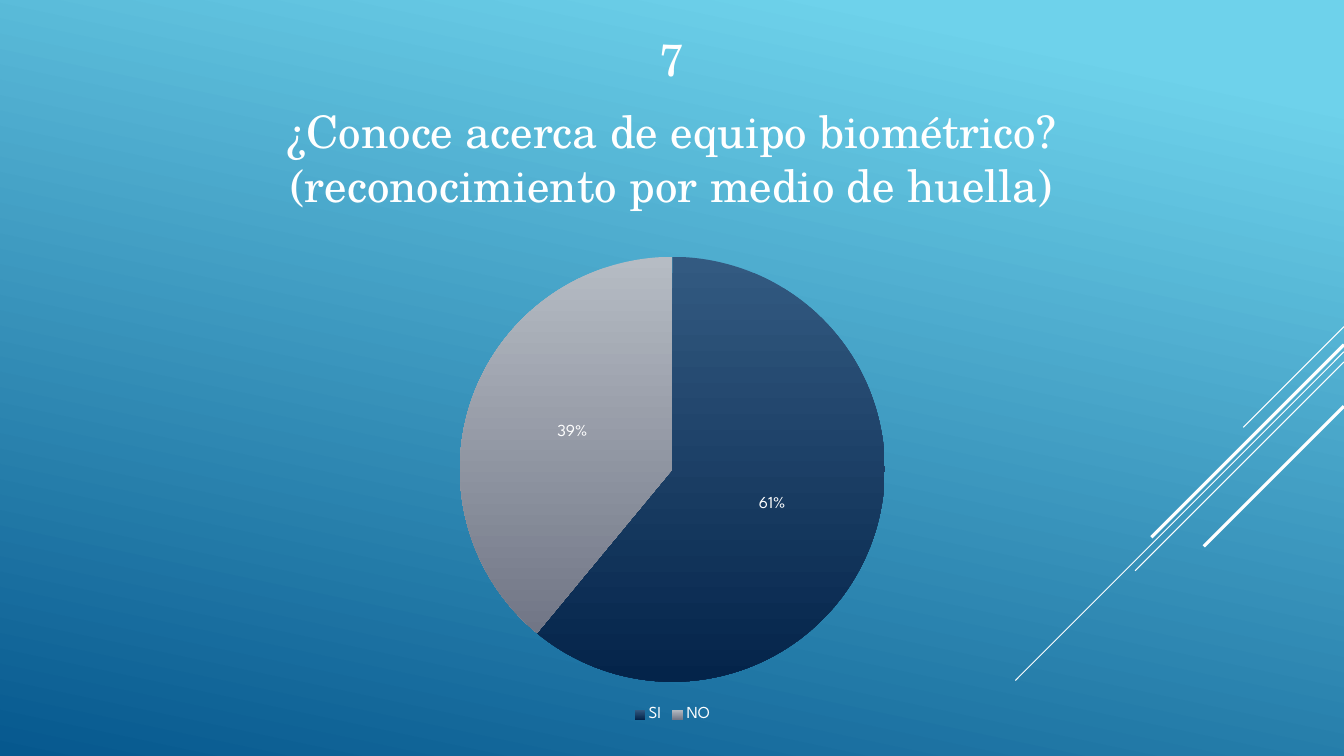
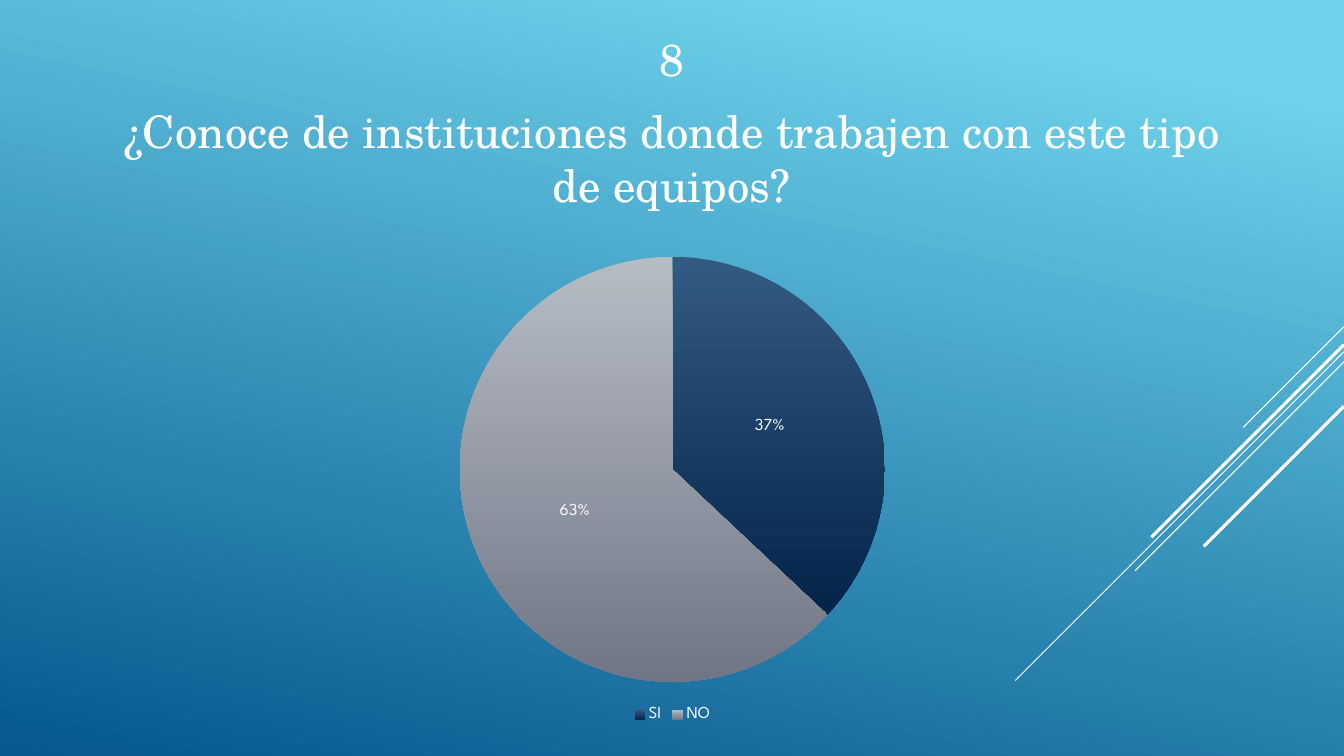
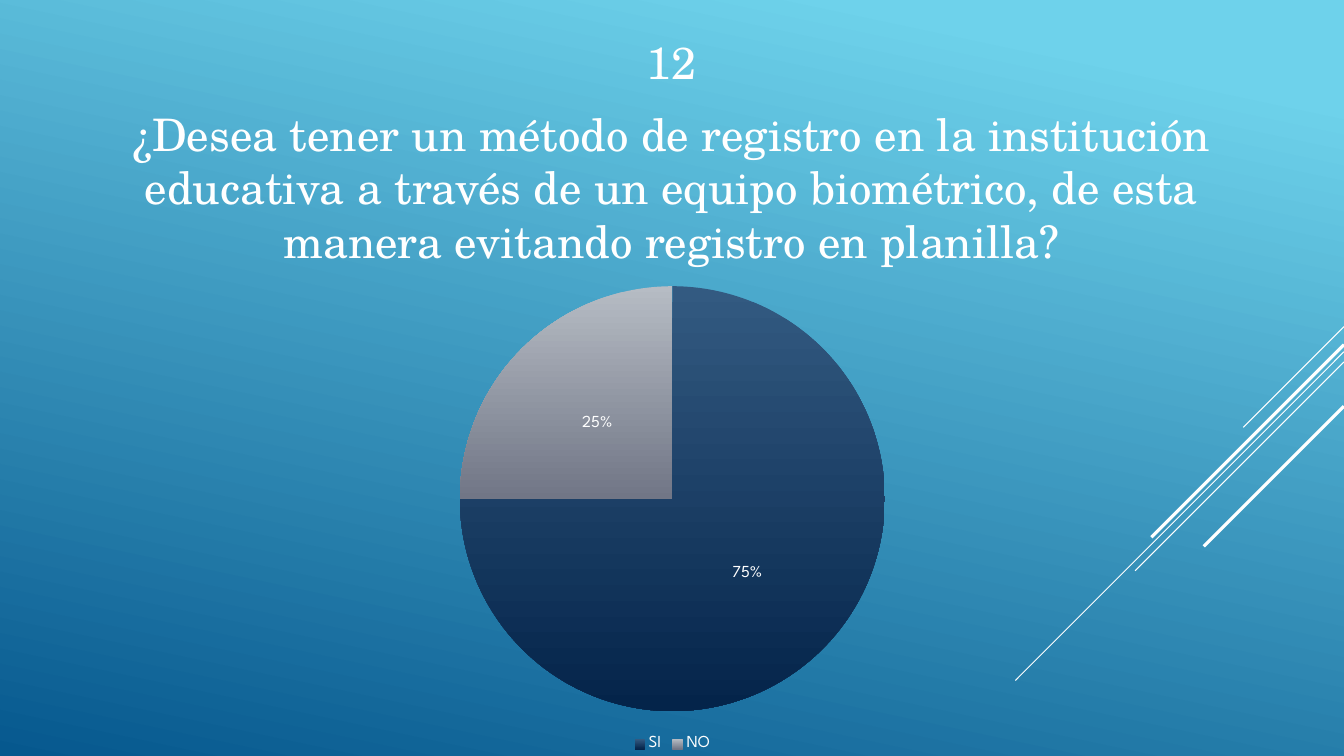
from lxml import etree
from pptx import Presentation
from pptx.chart.data import CategoryChartData
from pptx.dml.color import RGBColor
from pptx.enum.chart import XL_CHART_TYPE, XL_LABEL_POSITION, XL_LEGEND_POSITION
from pptx.enum.shapes import MSO_CONNECTOR
from pptx.enum.text import MSO_ANCHOR, PP_ALIGN
from pptx.oxml.ns import qn
from pptx.util import Pt

PIE = XL_CHART_TYPE.PIE
LABEL_CENTER = XL_LABEL_POSITION.CENTER
LEGEND_BOTTOM = XL_LEGEND_POSITION.BOTTOM
STRAIGHT = MSO_CONNECTOR.STRAIGHT
MIDDLE = MSO_ANCHOR.MIDDLE
CENTER = PP_ALIGN.CENTER

WIDTH, HEIGHT = 960, 540
BLANK = 6
WHITE = "FFFFFF"
TITLE_FONT = "TeX Gyre Schola"
CHART_FONT = "League Spartan"
BACKGROUND = ("6ED2EB", "06588E")
ANSWERS = {"SI": ("335A81", "04244A"), "NO": ("B6BCC4", "717686")}
DIAGONALS = [
    (233.28, 72, 0.75),
    (251.28, 234.72, 0.75),
    (258.5, 149.2, 0.75),
    (246.24, 137.5, 2.25),
    (290.16, 100.1, 2.25),
]
BOX_HEIGHT = 173.5
SURVEY = [
    ("7", "¿Conoce acerca de equipo biométrico? (reconocimiento por medio de huella)", (61, 39), 0),
    ("8", "¿Conoce de instituciones donde trabajen con este tipo de equipos?", (37, 63), 0),
    (
        "12",
        "¿Desea tener un método de registro en la institución educativa a través "
        "de un equipo biométrico, de esta manera evitando registro en planilla?",
        (75, 25),
        21,
    ),
]


def color(value):
    return RGBColor.from_string(value)


class SurveyDeck:
    """Survey slides with a shared style, one question and pie chart each."""

    def __init__(self):
        self.deck = Presentation()
        self.deck.slide_width, self.deck.slide_height = Pt(WIDTH), Pt(HEIGHT)
        self.page = None
        self.gradient(self.deck.slide_master.background.fill, BACKGROUND, 258, start=0.1)

    def gradient(self, fill, colors, angle, start=0):
        fill.gradient()
        fill.gradient_angle = angle
        for stop, value, position in zip(fill.gradient_stops, colors, (start, 1)):
            stop.color.rgb = color(value)
            stop.position = position

    def style(self, font, name, size):
        font.name, font.size = name, Pt(size)
        font.color.rgb = color(WHITE)

    def add_page(self):
        self.page = self.deck.slides.add_slide(self.deck.slide_layouts[BLANK])
        for top, length, weight in DIAGONALS:
            self.diagonal(top, length, weight)

    def diagonal(self, top, length, weight):
        line = self.page.shapes.add_connector(
            STRAIGHT, Pt(WIDTH), Pt(top), Pt(WIDTH - length), Pt(top + length)
        )
        line.line.color.rgb = color(WHITE)
        line.line.width = Pt(weight)
        etree.SubElement(line._element.spPr, qn("a:effectLst"))

    def question(self, number, wording, top):
        box = self.page.shapes.add_textbox(Pt(77.76), Pt(top), Pt(804.24), Pt(BOX_HEIGHT))
        frame = box.text_frame
        frame.word_wrap = True
        frame.vertical_anchor = MIDDLE
        frame.text = f"{number}\n{wording}"
        for para in frame.paragraphs:
            para.alignment = CENTER
            para.space_after = Pt(6)
            self.style(para.font, TITLE_FONT, 32)
        frame.paragraphs[1].space_before = Pt(7)

    def pie(self, values, top):
        data = CategoryChartData()
        data.categories = list(ANSWERS)
        data.add_series("Series 1", values)
        chart = self.page.shapes.add_chart(
            PIE, Pt(226.8), Pt(top), Pt(506.88), Pt(345.6), data
        ).chart
        chart.has_title = False
        self.style(chart.font, CHART_FONT, 10)
        chart.has_legend = True
        chart.legend.position = LEGEND_BOTTOM
        chart.legend.include_in_layout = False
        self.style(chart.legend.font, CHART_FONT, 12)
        plot = chart.plots[0]
        plot.vary_by_categories = True
        plot.has_data_labels = True
        labels = plot.data_labels
        labels.show_value = False
        labels.show_percentage = True
        labels.number_format = "0%"
        labels.number_format_is_linked = False
        labels.position = LABEL_CENTER
        self.style(labels.font, CHART_FONT, 12)
        for index, colors in enumerate(ANSWERS.values()):
            slice_format = plot.series[0].points[index].format
            self.gradient(slice_format.fill, colors, 270)
            slice_format.line.fill.background()


def main():
    survey = SurveyDeck()
    for number, wording, values, top in SURVEY:
        survey.add_page()
        survey.question(number, wording, top)
        survey.pie(values, top + BOX_HEIGHT)
    survey.deck.save("out.pptx")


if __name__ == "__main__":
    main()
